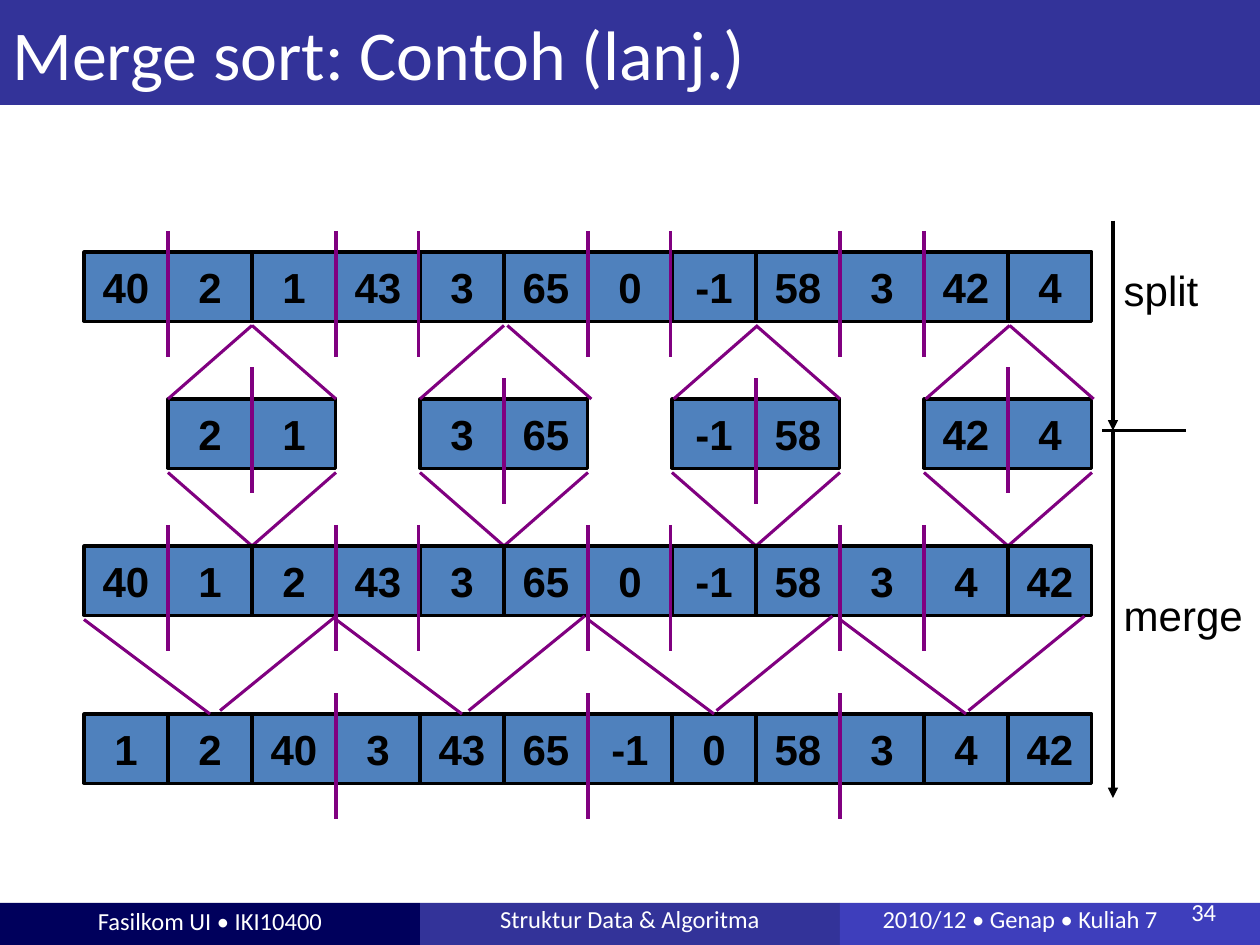
from lxml.etree import SubElement
from pptx import Presentation
from pptx.dml.color import RGBColor
from pptx.enum.shapes import MSO_CONNECTOR, MSO_SHAPE
from pptx.enum.text import MSO_ANCHOR, MSO_AUTO_SIZE, PP_ALIGN
from pptx.oxml.ns import qn
from pptx.util import Inches, Pt

COLORS = {
    "title": "333399", "footer_left": "00005C", "footer_middle": "333399",
    "footer_right": "3E3EBC", "cell": "4F81BD", "cut": "800080",
    "black": "000000", "white": "FFFFFF",
}
COLUMNS, ROWS = 15, 45
CELL_HEIGHT = 3.3
LINE_WIDTH = Pt(1.75)


class SlideBuilder:
    """Places elements on a grid of COLUMNS by ROWS."""

    def __init__(self, presentation):
        self.column = presentation.slide_width / COLUMNS
        self.row = presentation.slide_height / ROWS
        self.slide = presentation.slides.add_slide(presentation.slide_layouts[6])

    def place(self, *lengths):
        """Turn alternating columns and rows into slide lengths."""
        units = (self.column, self.row) * 2
        return [round(length * unit) for length, unit in zip(lengths, units)]

    def set_text(self, shape, text, size, font, color, align, bold=False):
        paragraph = shape.text_frame.paragraphs[0]
        paragraph.text = text
        paragraph.alignment = align
        paragraph.font.size = Pt(size)
        paragraph.font.name = font
        paragraph.font.bold = bold
        paragraph.font.color.rgb = RGBColor.from_string(COLORS[color])
        return paragraph

    def rectangle(self, left, top, width, height, fill):
        shape = self.slide.shapes.add_shape(
            MSO_SHAPE.RECTANGLE, *self.place(left, top, width, height))
        shape.shadow.inherit = False
        shape.fill.solid()
        shape.fill.fore_color.rgb = RGBColor.from_string(COLORS[fill])
        shape.line.fill.background()
        shape.text_frame.vertical_anchor = MSO_ANCHOR.MIDDLE
        return shape

    def bar(self, left, top, width, height, fill, text, size,
            align=PP_ALIGN.CENTER, bottom=0.05, right=0.1, spacing=None):
        shape = self.rectangle(left, top, width, height, fill)
        frame = shape.text_frame
        frame.word_wrap = True
        frame.margin_top = 0
        frame.margin_bottom = Inches(bottom)
        frame.margin_right = Inches(right)
        paragraph = self.set_text(shape, text, size, "Calibri", "white", align)
        paragraph.line_spacing = spacing

    def cells(self, left, top, values):
        """Draw a run of array cells and return them."""
        shapes = []
        for index, value in enumerate(values):
            shape = self.rectangle(left + index, top, 1, CELL_HEIGHT, "cell")
            shape.line.color.rgb = RGBColor.from_string(COLORS["black"])
            shape.line.width = LINE_WIDTH
            shape.text_frame.word_wrap = False
            self.set_text(shape, str(value), 24, "Arial", "black", PP_ALIGN.CENTER, True)
            shapes.append(shape)
        return shapes

    def line(self, x1, y1, x2, y2, color="cut", arrow=False):
        connector = self.slide.shapes.add_connector(
            MSO_CONNECTOR.STRAIGHT, *self.place(x1, y1, x2, y2))
        connector.line.color.rgb = RGBColor.from_string(COLORS[color])
        connector.line.width = LINE_WIDTH
        properties = connector.element.spPr
        if arrow:
            SubElement(properties.find(qn("a:ln")), qn("a:tailEnd"), type="triangle")
        SubElement(properties, qn("a:effectLst"))
        return connector

    def cuts(self, top, columns):
        for column in columns:
            self.line(column, top, column, top + 6)

    def label(self, left, top, width, height, text, size, font, color,
              align=PP_ALIGN.LEFT):
        shape = self.slide.shapes.add_textbox(*self.place(left, top, width, height))
        shape.text_frame.word_wrap = False
        shape.text_frame.auto_size = MSO_AUTO_SIZE.SHAPE_TO_FIT_TEXT
        return self.set_text(shape, text, size, font, color, align)


def main():
    presentation = Presentation()
    presentation.slide_width, presentation.slide_height = Inches(10), Inches(7.5)
    builder = SlideBuilder(presentation)

    # Footer and title bars
    builder.bar(0, 43, 5, 2, "footer_left", "Fasilkom UI • IKI10400", 14)
    builder.bar(5, 43, 5, 2, "footer_middle", "Struktur Data & Algoritma", 14, spacing=0.81)
    builder.bar(10, 43, 5, 2, "footer_right", "2010/12 • Genap • Kuliah 7", 14,
                right=0.57, spacing=0.81)
    number = builder.label(13.93, 42.7, 0.8, 2, "34", 14, "Calibri", "white", PP_ALIGN.CENTER)
    number.line_spacing = 0.81
    builder.bar(0, 0, 15, 5, "title", "Merge sort: Contoh (lanj.)", 40,
                PP_ALIGN.LEFT, bottom=0)

    # Full array, cut into ones and twos
    split_cuts = (2, 4, 4.98, 7, 7.98, 10, 11)
    builder.cells(1, 12, (40, 2, 1, 43, 3, 65, 0, -1, 58, 3, 42, 4))
    builder.cuts(11, split_cuts)

    # Pairs, with lines down from the split and down to the merge
    pairs = ((2, 1), (3, 65), (-1, 58), (42, 4))
    roof_shifts = ((0, 0), (0, 0.04), (0.02, 0), (0.02, 0.02))
    for index, (pair, (left_shift, right_shift)) in enumerate(zip(pairs, roof_shifts)):
        left = 2 + 3 * index
        builder.cells(left, 19, pair)
        builder.line(left + left_shift, 19, left + 1 + left_shift, 15.5)
        builder.line(left + 1 + right_shift, 15.5, left + 2 + right_shift, 19)
        builder.line(left, 22.5, left + 1, 26)
        builder.line(left + 1, 26, left + 2, 22.5)

    # Array after the pairs are merged
    builder.cells(1, 26, (40, 1, 2, 43, 3, 65, 0, -1, 58, 3, 4, 42))
    builder.cuts(25, split_cuts)

    # Split and merge phases
    builder.line(13.25, 10.5, 13.25, 20.5, "black", arrow=True)
    builder.label(13.23, 12.3, 1.2, 3, "split", 24, "Arial", "black")
    builder.line(13.12, 20.5, 14.12, 20.5, "black")
    builder.line(13.25, 20.5, 13.25, 38, "black", arrow=True)
    builder.label(13.23, 27.8, 1.72, 3, "merge", 24, "Arial", "black")

    # Array after the threes are merged
    merged = builder.cells(1, 34, (1, 2, 40, 3, 43, 65, -1, 0, 58, 3, 4, 42))
    builder.cuts(33, (4, 7, 10))
    for index, shift in enumerate((0.62, 0.58, 0.53, 0.53)):
        left = 1 + 3 * index
        connector = builder.line(left, 29.5, left + 1.5, 34)
        connector.end_connect(merged[3 * index + 1], 0)
        builder.line(left + 1 + shift, 33.84, left + 2.38 + shift, 29.34)

    # Cuts through the pairs
    for column, top in zip((3, 6, 9, 12), (17.5, 18, 18, 17.5)):
        builder.cuts(top, (column,))

    presentation.save("out.pptx")


if __name__ == "__main__":
    main()
